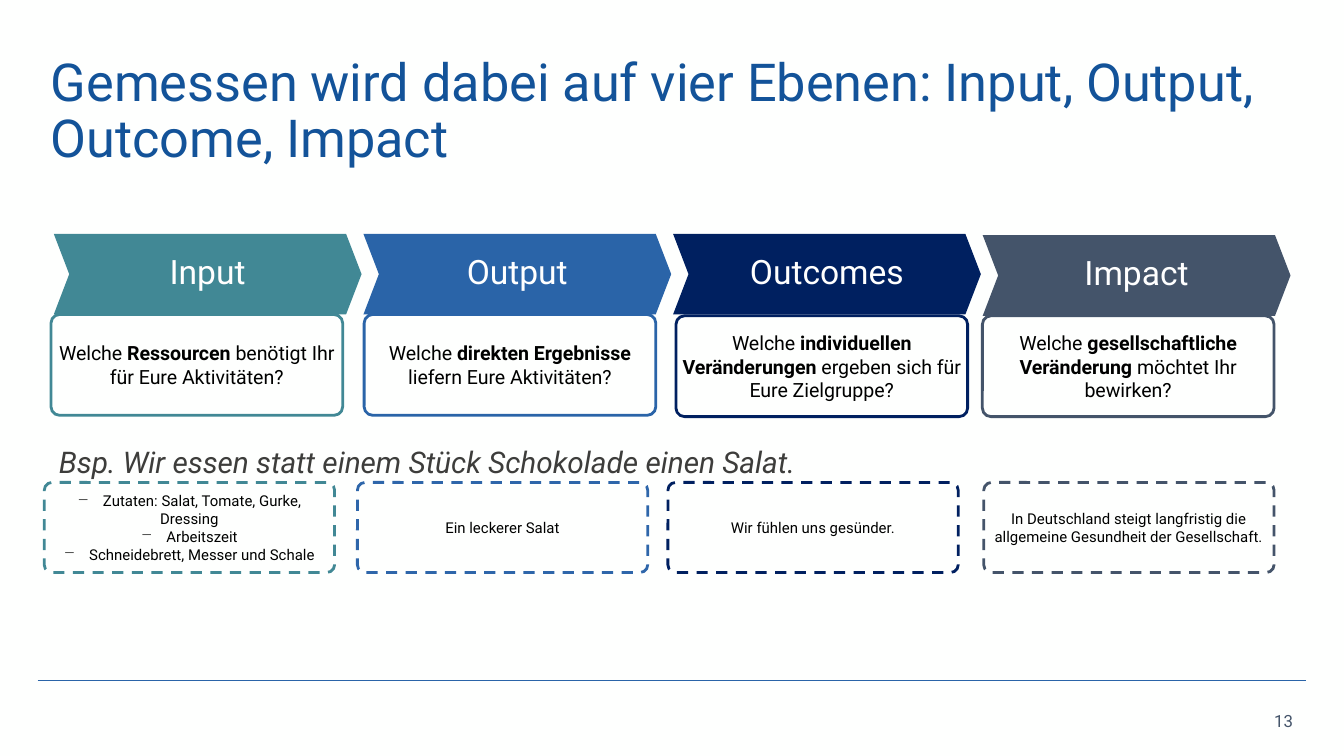
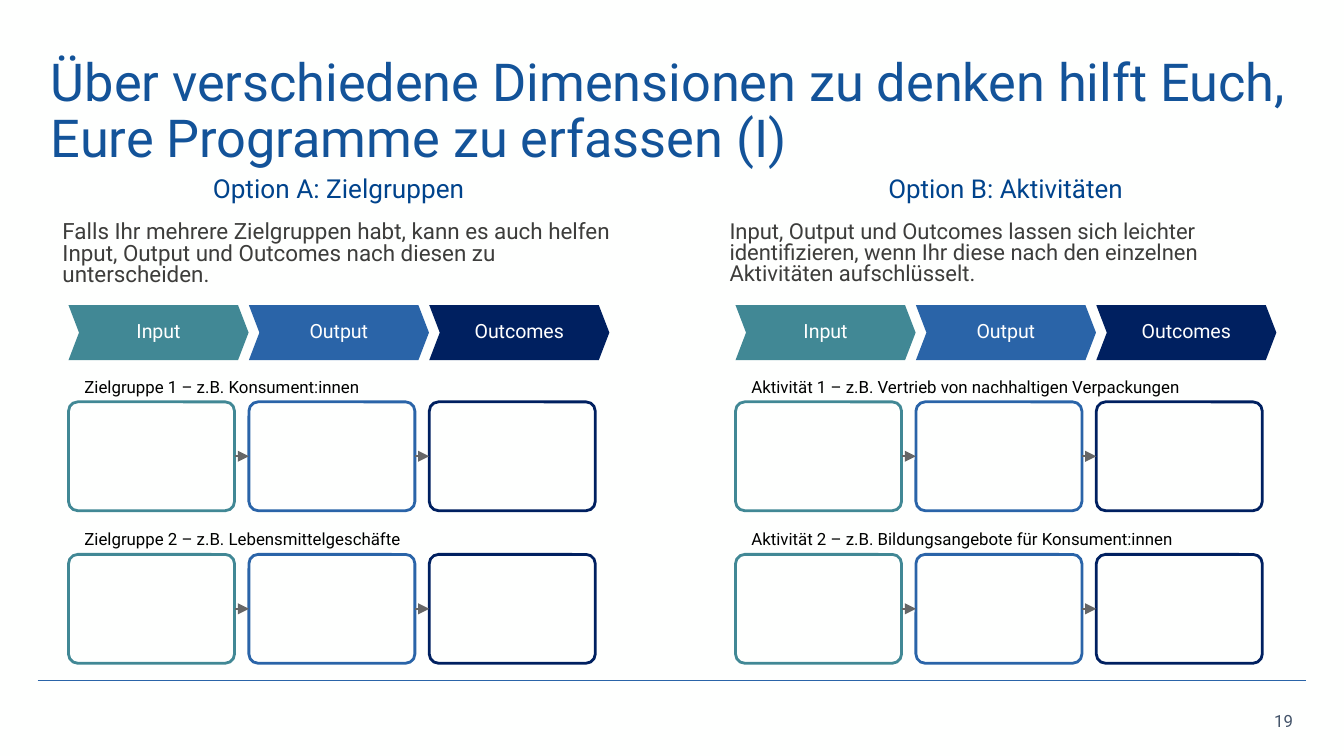
import dataclasses

import lxml.etree
import pptx
import pptx.dml.color
import pptx.enum.dml
import pptx.enum.shapes
import pptx.enum.text
import pptx.oxml.ns
import pptx.util


@dataclasses.dataclass(frozen=True)
class Theme:
    font: str = "Roboto"
    background: str = "FEFFFE"
    title: str = "135399"
    option: str = "00438C"
    body: str = "3D3D3B"
    black: str = "000000"
    white: str = "FFFFFF"
    input: str = "418895"
    output: str = "2A64A8"
    output_dash: str = "2E66AA"
    outcomes: str = "002060"
    impact: str = "44546A"
    arrow: str = "666666"
    title_size: float = 28
    level_size: float = 18
    example_size: float = 16
    card_size: float = 10.5
    label_size: float = 9
    small_size: float = 8
    border: float = 1.5


theme = Theme()
cell = pptx.util.Inches(0.1)
columns, rows = 100, 56.25
color = pptx.dml.color.RGBColor.from_string
ALIGN = pptx.enum.text.PP_ALIGN
ANCHOR = pptx.enum.text.MSO_ANCHOR
CHEVRON = pptx.enum.shapes.MSO_SHAPE.CHEVRON
CARD = pptx.enum.shapes.MSO_SHAPE.ROUNDED_RECTANGLE
DASH = pptx.enum.dml.MSO_LINE.DASH
bend = {CHEVRON: 0.192, CARD: 0.085}


def add_box(parent, at, text="", size=theme.card_size, ink=theme.black, kind=None,
            fill=None, line=None, dash=None, align=ALIGN.LEFT, anchor=ANCHOR.TOP,
            inset=(1, 0.5, 1, 0.5), spacing=1, after=0):
    place = [round(length * cell) for length in at]
    if kind is None:
        box = parent.shapes.add_textbox(*place)
    else:
        box = parent.shapes.add_shape(kind, *place)
        box.shadow.inherit = False
        box.adjustments[0] = bend[kind]
        if fill:
            box.fill.solid()
            box.fill.fore_color.rgb = color(fill)
        else:
            box.fill.background()
        if line:
            box.line.color.rgb = color(line)
            box.line.width = pptx.util.Pt(theme.border)
            if dash:
                box.line.dash_style = dash
        else:
            box.line.fill.background()
    frame = box.text_frame
    frame.word_wrap = True
    frame.vertical_anchor = anchor
    frame.margin_left, frame.margin_top, frame.margin_right, frame.margin_bottom = [
        round(margin * cell) for margin in inset]
    if not text:
        return box
    frame.text = text
    for para in frame.paragraphs:
        para.alignment = align
        if spacing != 1:
            para.line_spacing = spacing
        if after:
            para.space_after = pptx.util.Pt(after)
        parts = para.text.split("|")
        para.text = parts[0]
        for part in parts[1:]:
            para.add_run().text = part
        for index, span in enumerate(para.runs):
            span.font.name = theme.font
            span.font.size = pptx.util.Pt(size)
            span.font.color.rgb = color(ink)
            span.font.bold = index % 2 == 1
    return box


def add_line(parent, start, end, ink, width, arrow=False):
    line = parent.shapes.add_connector(
        pptx.enum.shapes.MSO_CONNECTOR.STRAIGHT,
        *[round(length * cell) for length in (*start, *end)])
    line.line.color.rgb = color(ink)
    line.line.width = pptx.util.Pt(width)
    if arrow:
        outline = line.line._get_or_add_ln()
        lxml.etree.SubElement(outline, pptx.oxml.ns.qn("a:tailEnd"), type="triangle")
    lxml.etree.SubElement(line._element.spPr, pptx.oxml.ns.qn("a:effectLst"))


card_style = dict(kind=CARD, align=ALIGN.CENTER, anchor=ANCHOR.MIDDLE, inset=(0, 0.5, 0, 0.5))
chevron_style = dict(kind=CHEVRON, ink=theme.white, align=ALIGN.CENTER, anchor=ANCHOR.MIDDLE,
                     inset=(0, 0.3, 0, 0.3), spacing=0.85, after=1.4)

deck = pptx.Presentation()
deck.slide_width = columns * cell
deck.slide_height = round(rows * cell)

pages = []
for heading, number in (
    ("Gemessen wird dabei auf vier Ebenen: Input, Output, Outcome, Impact", "13"),
    ("Über verschiedene Dimensionen zu denken hilft Euch, Eure Programme zu erfassen (I)", "19"),
):
    page = deck.slides.add_slide(deck.slide_layouts[6])
    page.background.fill.solid()
    page.background.fill.fore_color.rgb = color(theme.background)
    add_line(page, (2.8, 50.6), (97.2, 50.6), theme.output, 0.5)
    add_box(page, (91.6, 52.1, 5.6, 3), number, theme.label_size, theme.impact,
            align=ALIGN.RIGHT, anchor=ANCHOR.MIDDLE)
    add_box(page, (2.8, 2.9, 94.5, 10.9), heading, theme.title_size, theme.title,
            anchor=ANCHOR.MIDDLE, spacing=0.9)
    pages.append(page)

levels_page, options_page = pages

levels = (
    ("Input", theme.input, 17.4, (3.8, 23.4),
     "Welche |Ressourcen| benötigt Ihr für Eure Aktivitäten?",
     3.3, theme.input,
     "Zutaten: Salat, Tomate, Gurke,\nDressing\nArbeitszeit\nSchneidebrett, Messer und Schale"),
    ("Output", theme.output, 17.4, (27.1, 23.4),
     "Welche |direkten Ergebnisse |liefern Eure Aktivitäten?",
     26.6, theme.output_dash, "Ein leckerer Salat"),
    ("Outcomes", theme.outcomes, 17.4, (50.3, 23.5),
     "Welche |individuellen Veränderungen |ergeben sich für Eure Zielgruppe?",
     49.7, theme.outcomes, "Wir fühlen uns gesünder."),
    ("Impact", theme.impact, 17.5, (73.1, 23.5),
     "Welche |gesellschaftliche Veränderung |möchtet Ihr bewirken?",
     73.2, theme.impact,
     "In Deutschland steigt langfristig die allgemeine Gesundheit der Gesellschaft."),
)
for index, (name, tint, top, corner, question, example_left, dash_tint, example) in enumerate(levels):
    add_box(levels_page, (4 + 23.04 * index, top, 22.9, 6), name, theme.level_size,
            fill=tint, **chevron_style)
    add_box(levels_page, (*corner, 21.7, 7.5), question, line=tint, **card_style)
    box = add_box(levels_page, (example_left, 35.9, 21.6, 6.7), example, theme.small_size,
                  line=dash_tint, dash=DASH, **card_style)
    if name == "Input":
        for para in box.text_frame.paragraphs:
            if para.text != "Dressing":
                properties = para._p.get_or_add_pPr()
                properties.set("marL", str(round(1.9 * cell)))
                properties.set("indent", str(round(-1.9 * cell)))
                lxml.etree.SubElement(properties, pptx.oxml.ns.qn("a:buChar"), char="−")

box = add_box(levels_page, (3.4, 29.1, 91.4, 6.7),
              "Bsp. Wir essen statt einem Stück Schokolade einen Salat.",
              theme.example_size, theme.body, anchor=ANCHOR.BOTTOM,
              inset=(1, 0.5, 1, 0.1), spacing=0.9)
box.text_frame.paragraphs[0].runs[0].font.italic = True

options = (
    ("Option A: Zielgruppen", 14,
     "Falls Ihr mehrere Zielgruppen habt, kann es auch helfen Input, Output und Outcomes "
     "nach diesen zu unterscheiden.", 12,
     ("Zielgruppe 1 – z.B. Konsument:innen", "Zielgruppe 2 – z.B. Lebensmittelgeschäfte")),
    ("Option B: Aktivitäten", 13.9,
     "Input, Output und Outcomes lassen sich leichter identifizieren, wenn Ihr diese nach "
     "den einzelnen Aktivitäten aufschlüsselt.", 11.8,
     ("Aktivität 1 – z.B. Vertrieb von nachhaltigen Verpackungen",
      "Aktivität 2 – z.B. Bildungsangebote für Konsument:innen")),
)
pitch, card_width, card_height = 13.42, 12.35, 8.1
for index, (heading, heading_size, advice, advice_size, labels) in enumerate(options):
    left = 5.1 + 49.63 * index
    group = options_page.shapes.add_group_shape()
    for step, (name, tint, *_) in enumerate(levels[:3]):
        add_box(group, (left + pitch * step, 22.7, 13.4, 4.1), name, fill=tint, **chevron_style)
    for row, label in enumerate(labels):
        top = 29.9 + 11.35 * row
        add_box(group, (left + 0.2, top - 2.4, 39 + row, 2.5), label, theme.label_size, after=1.5)
        for step, (name, tint, *_) in enumerate(levels[:3]):
            card_left = left + pitch * step
            add_box(group, (card_left, top, card_width, card_height), line=tint, **card_style)
            if step:
                middle = top + card_height / 2
                add_line(group, (card_left - pitch + card_width, middle), (card_left, middle),
                         theme.arrow, 1, arrow=True)
    box = add_box(group, (left - 1.15, 12.9, 42.5, 9.1), heading + "\n" + advice, heading_size,
                  theme.option, align=ALIGN.CENTER, inset=(0.7, 0.4, 0.7, 0.4), spacing=0.8)
    para = box.text_frame.paragraphs[1]
    para.alignment = ALIGN.LEFT
    para.space_before = pptx.util.Pt(10)
    para.runs[0].font.size = pptx.util.Pt(advice_size)
    para.runs[0].font.color.rgb = color(theme.body)

deck.save("out.pptx")
